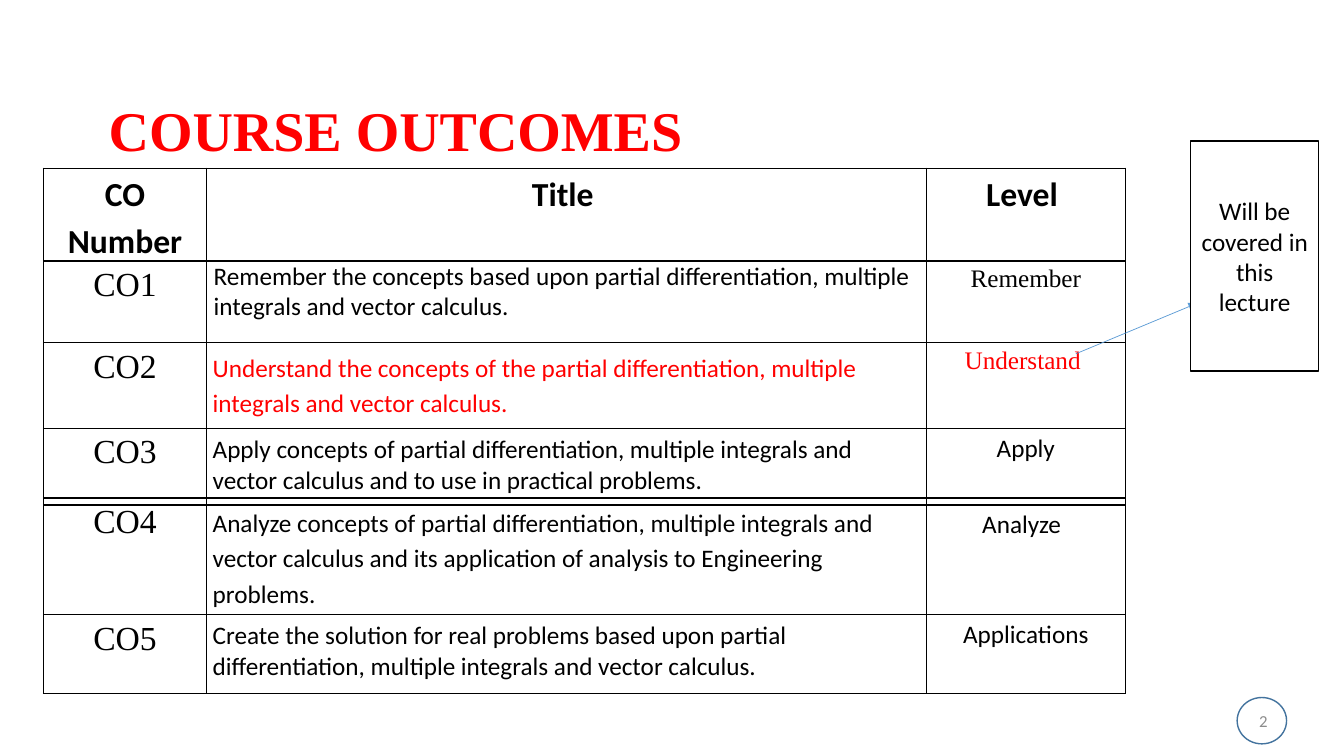
from lxml import etree
from pptx import Presentation
from pptx.dml.color import RGBColor
from pptx.enum.shapes import MSO_CONNECTOR, MSO_SHAPE
from pptx.enum.text import MSO_ANCHOR, PP_ALIGN
from pptx.oxml.ns import qn
from pptx.util import Pt

PX = 9144  # 100 px to the inch
LEFT, CENTER, RIGHT = PP_ALIGN.LEFT, PP_ALIGN.CENTER, PP_ALIGN.RIGHT
MIDDLE, BOTTOM = MSO_ANCHOR.MIDDLE, MSO_ANCHOR.BOTTOM
SANS, SERIF = "Calibri", "Times New Roman"
BLACK, RED, WHITE = "000000", "FF0000", "FFFFFF"


def rgb(value):
    return RGBColor.from_string(value)


def write(tf, text, size, font=SANS, color=BLACK, bold=False, align=LEFT, spacing=1.0):
    tf.text = text
    tf.word_wrap = True
    p = tf.paragraphs[0]
    p.alignment = align
    p.line_spacing = spacing
    f = p.runs[0].font
    f.size, f.name, f.bold = Pt(size), font, bold
    f.color.rgb = rgb(color)


prs = Presentation()
prs.slide_width, prs.slide_height = 1333 * PX, 750 * PX
s = prs.slides.add_slide(prs.slide_layouts[6])

# Slide number in its ring
tb = s.shapes.add_textbox(967 * PX, 695 * PX, 300 * PX, 40 * PX)
write(tb.text_frame, "2", 12, color="8C8C8C", align=RIGHT)
tb.text_frame.vertical_anchor = MIDDLE
ring = s.shapes.add_shape(MSO_SHAPE.OVAL, 1227 * PX, 692 * PX, 49 * PX, 46 * PX)
ring.shadow.inherit = False
ring.fill.background()
ring.line.color.rgb = rgb("43739E")
ring.line.width = Pt(1)

# Title
tb = s.shapes.add_textbox(98 * PX, 90 * PX, 776 * PX, 77 * PX)
write(tb.text_frame, "COURSE OUTCOMES", 40, SERIF, RED, True, spacing=0.9)
tb.text_frame.vertical_anchor = BOTTOM

# Outcomes: number, title, level, row height, colour, level font, title spacing
header = ("CO Number", "Title ", "Level ", 92)
outcomes = [
    ("CO1", "Remember the concepts based upon partial differentiation, multiple "
     "integrals and vector calculus.", "Remember", 81, BLACK, SERIF, 1.0),
    ("CO2", "Understand the concepts of the partial differentiation, multiple "
     "integrals and vector calculus.", "Understand ", 85, RED, SERIF, 1.15),
    ("CO3", "Apply concepts of partial differentiation, multiple integrals and "
     "vector calculus and to use in practical problems.", "Apply", 76, BLACK, SANS, 1.0),
    ("CO4", "Analyze concepts of partial differentiation, multiple integrals and "
     "vector calculus and its application of analysis to Engineering problems.",
     "Analyze", 116, BLACK, SANS, 1.15),
    ("CO5", "Create the solution for real problems based upon partial "
     "differentiation, multiple integrals and vector calculus.",
     "Applications", 78, BLACK, SANS, 1.0),
]

# Two tables, the second one carrying on from the first
for top, rows in ((167, [header] + outcomes[:3]), (494, outcomes[3:])):
    height = sum(row[3] for row in rows)
    table = s.shapes.add_table(len(rows), 3, 43 * PX, top * PX, 1073 * PX, height * PX).table
    for column, width in zip(table.columns, (162, 714, 197)):
        column.width = width * PX
    for i, row in enumerate(rows):
        table.rows[i].height = row[3] * PX
        for j, text in enumerate(row[:3]):
            cell = table.cell(i, j)
            padded = j == 1 and row[0] not in ("CO Number", "CO1")
            cell.margin_left = cell.margin_right = (6 if padded else 7) * PX
            cell.margin_top = cell.margin_bottom = (6 if padded else 0) * PX
            tf = cell.text_frame
            if row is header:
                write(tf, text, 24, bold=True, align=CENTER, spacing=1.15)
            elif j == 0:
                write(tf, text, 24, SERIF, align=CENTER, spacing=1.15)
            elif j == 1:
                write(tf, text, 18, color=row[4], spacing=row[6])
            else:
                write(tf, text, 18, row[5], row[4], align=CENTER, spacing=1.15)
            if text == "Analyze":  # the larger space lowers the line
                r = tf.paragraphs[0].add_run()
                r.text = " "
                r.font.size, r.font.name = Pt(24), SERIF
            tcPr = cell._tc.get_or_add_tcPr()
            for side in ("a:lnL", "a:lnR", "a:lnT", "a:lnB"):
                ln = etree.SubElement(tcPr, qn(side), w=str(Pt(1)))
                fill = etree.SubElement(ln, qn("a:solidFill"))
                etree.SubElement(fill, qn("a:srgbClr"), val=BLACK)
            cell.fill.background()

# Arrow from the covered level to the note
arrow = s.shapes.add_connector(MSO_CONNECTOR.STRAIGHT, 1067 * PX, 351 * PX, 1187 * PX, 301 * PX)
arrow.line.color.rgb = rgb("5B9BD5")
arrow.line.width = Pt(0.5)
etree.SubElement(arrow.line._get_or_add_ln(), qn("a:tailEnd"), type="triangle")
etree.SubElement(arrow._element.spPr, qn("a:effectLst"))

# Note
note = s.shapes.add_shape(MSO_SHAPE.RECTANGLE, 1181 * PX, 140 * PX, 127 * PX, 228 * PX)
note.shadow.inherit = False
note.fill.solid()
note.fill.fore_color.rgb = rgb(WHITE)
note.line.color.rgb = rgb(BLACK)
note.line.width = Pt(1)
write(note.text_frame, "Will be covered in this lecture", 18, align=CENTER)
note.text_frame.vertical_anchor = MIDDLE

prs.save("out.pptx")
